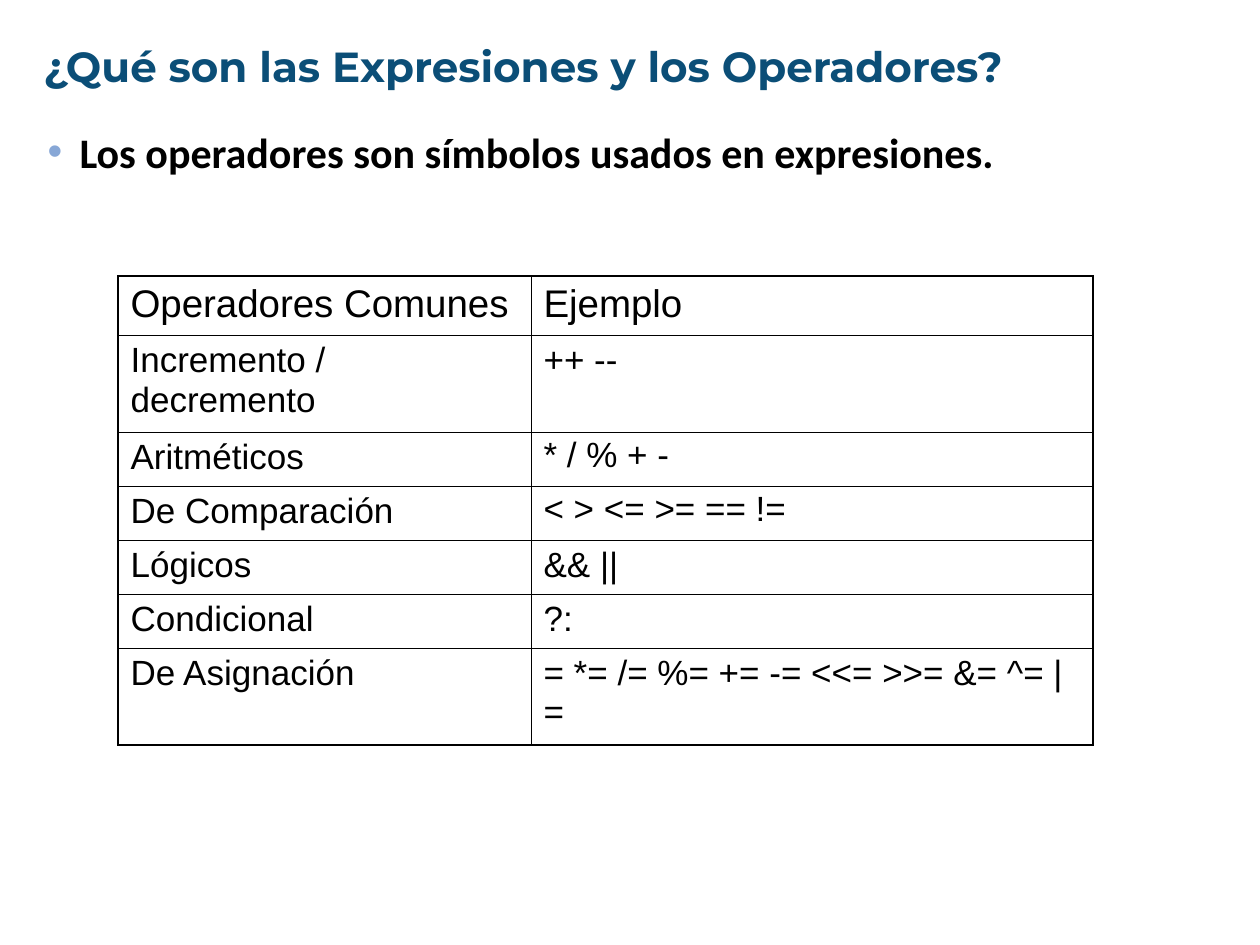
from typing import NamedTuple

from lxml.etree import SubElement
from pptx import Presentation
from pptx.dml.color import RGBColor
from pptx.enum.text import MSO_ANCHOR, MSO_AUTO_SIZE, PP_ALIGN
from pptx.oxml.ns import qn
from pptx.util import Emu, Pt

PX = 914400 / 126
TITLE_BLUE = RGBColor(0x0B, 0x4E, 0x77)
BULLET_BLUE = RGBColor(0x87, 0xA7, 0xD6)
BLACK = RGBColor(0, 0, 0)
WHITE = RGBColor(0xFF, 0xFF, 0xFF)
OUTER, INNER = Pt(1.08), Pt(0.45)


class Box(NamedTuple):
    left: int
    top: int
    width: int
    height: int


class OperatorRow(NamedTuple):
    name: str
    example: str
    height: int = 54
    size: int = 20
    before: float = 5
    tight: bool = False  # example set with 95 % line spacing


ROWS = [
    OperatorRow("Operadores Comunes", "Ejemplo", 59, 22, 5.5),
    OperatorRow("Incremento / decremento", "++ --", 97),
    OperatorRow("Aritméticos", "* / % + -", tight=True),
    OperatorRow("De Comparación", "< > <= >= == !=", tight=True),
    OperatorRow("Lógicos", "&& ||"),
    OperatorRow("Condicional", "?:"),
    OperatorRow("De Asignación", "= *= /= %= += -= <<= >>= &= ^= |=", 97),
]
COLS = (413, 562)


def px(n: int) -> Emu:
    return Emu(round(n * PX))


def place(sp, box: Box) -> None:
    sp.left, sp.top, sp.width, sp.height = map(px, box)


def add_text(p, text: str, font: str, size: int, color: RGBColor,
             bold: bool = False) -> None:
    r = p.add_run()
    r.text = text
    r.font.name, r.font.size, r.font.bold = font, Pt(size), bold
    r.font.color.rgb = color


def fill_placeholder(sp, box: Box, anchor, text: str, font: str,
                     color: RGBColor):
    place(sp, box)
    tf = sp.text_frame
    tf.word_wrap = True
    tf.auto_size = MSO_AUTO_SIZE.NONE
    tf.vertical_anchor = anchor
    p = tf.paragraphs[0]
    p.alignment = PP_ALIGN.LEFT
    add_text(p, text, font, 24, color, bold=True)
    return p


def set_bullet(p, char: str, color: RGBColor, indent: int) -> None:
    pPr = p._p.get_or_add_pPr()
    pPr.set("marL", str(px(indent)))
    pPr.set("indent", str(-px(indent)))
    clr = SubElement(pPr, qn("a:buClr"))
    SubElement(clr, qn("a:srgbClr"), val=str(color))
    SubElement(pPr, qn("a:buFont"), typeface="Arial")
    SubElement(pPr, qn("a:buChar"), char=char)


def set_borders(cell, edges: dict[str, bool]) -> None:
    tcPr = cell._tc.get_or_add_tcPr()
    for side, outer in edges.items():
        ln = SubElement(tcPr, qn(f"a:ln{side}"), w=str(OUTER if outer else INNER))
        fill = SubElement(ln, qn("a:solidFill"))
        SubElement(fill, qn("a:srgbClr"), val=str(BLACK))


def add_operator_table(slide, left: int, top: int) -> None:
    height = sum(row.height for row in ROWS)
    box = Box(left, top, sum(COLS), height)
    table = slide.shapes.add_table(len(ROWS), len(COLS), *map(px, box)).table
    table.first_row = table.horz_banding = False
    for col, width in zip(table.columns, COLS):
        col.width = px(width)
    for i, row in enumerate(ROWS):
        table.rows[i].height = px(row.height)
        for j, text in enumerate((row.name, row.example)):
            cell = table.cell(i, j)
            set_borders(cell, {"L": j == 0, "R": j == len(COLS) - 1,
                               "T": i == 0, "B": i == len(ROWS) - 1})
            cell.fill.solid()
            cell.fill.fore_color.rgb = WHITE
            p = cell.text_frame.paragraphs[0]
            if row.tight and j == 1:
                p.line_spacing = 0.95
            else:
                p.space_before = Pt(row.before)
            add_text(p, text, "Arial", row.size, BLACK)


def main() -> None:
    prs = Presentation()
    prs.slide_width, prs.slide_height = px(1260), px(945)
    slide = prs.slides.add_slide(prs.slide_layouts[1])
    title, body = slide.placeholders

    # Title
    p = fill_placeholder(title, Box(31, 37, 1150, 66), MSO_ANCHOR.MIDDLE,
                         "¿Qué son las Expresiones y los Operadores?",
                         "Montserrat", TITLE_BLUE)
    p.line_spacing = 0.85

    # Bulleted statement
    p = fill_placeholder(body, Box(35, 120, 1139, 639), MSO_ANCHOR.TOP,
                         "Los operadores son símbolos usados en expresiones.",
                         "Calibri", BLACK)
    p.space_before = Pt(6)
    set_bullet(p, "•", BULLET_BLUE, 32)

    # Operators and examples
    add_operator_table(slide, 118, 276)
    prs.save("out.pptx")


if __name__ == "__main__":
    main()
